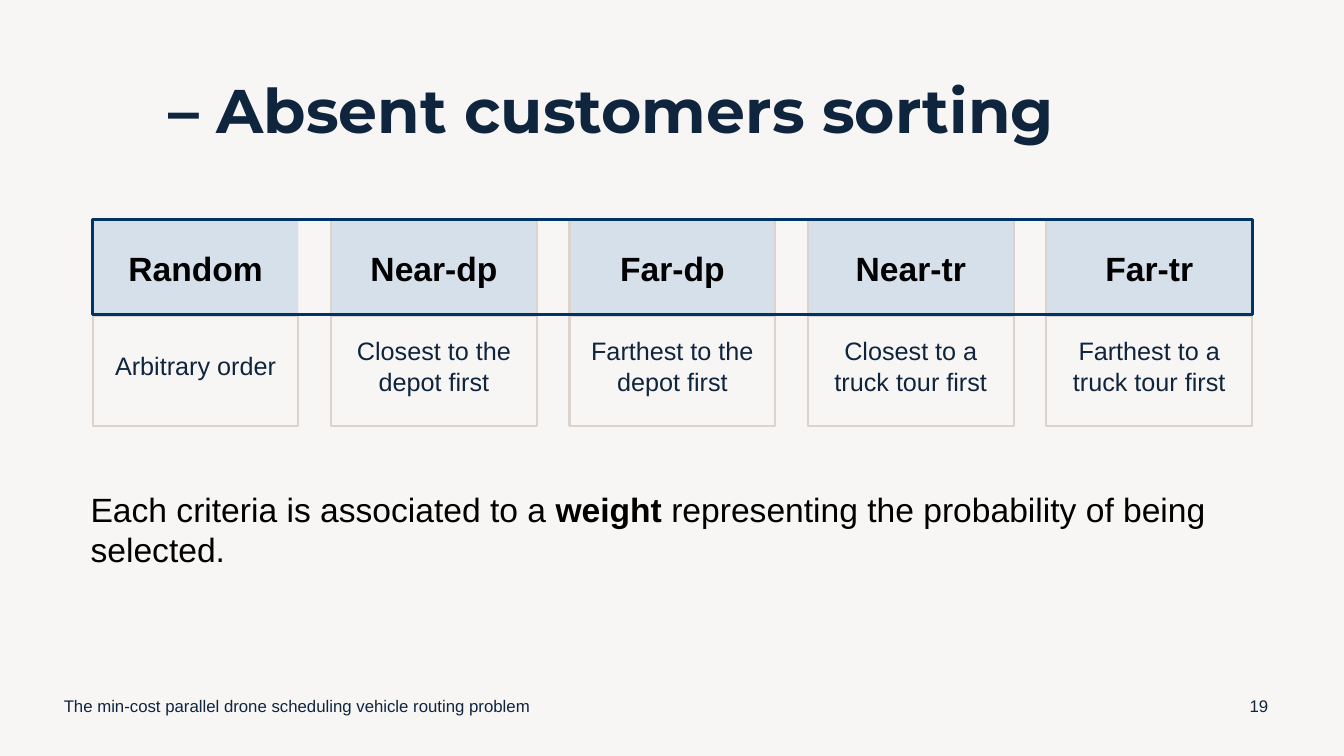
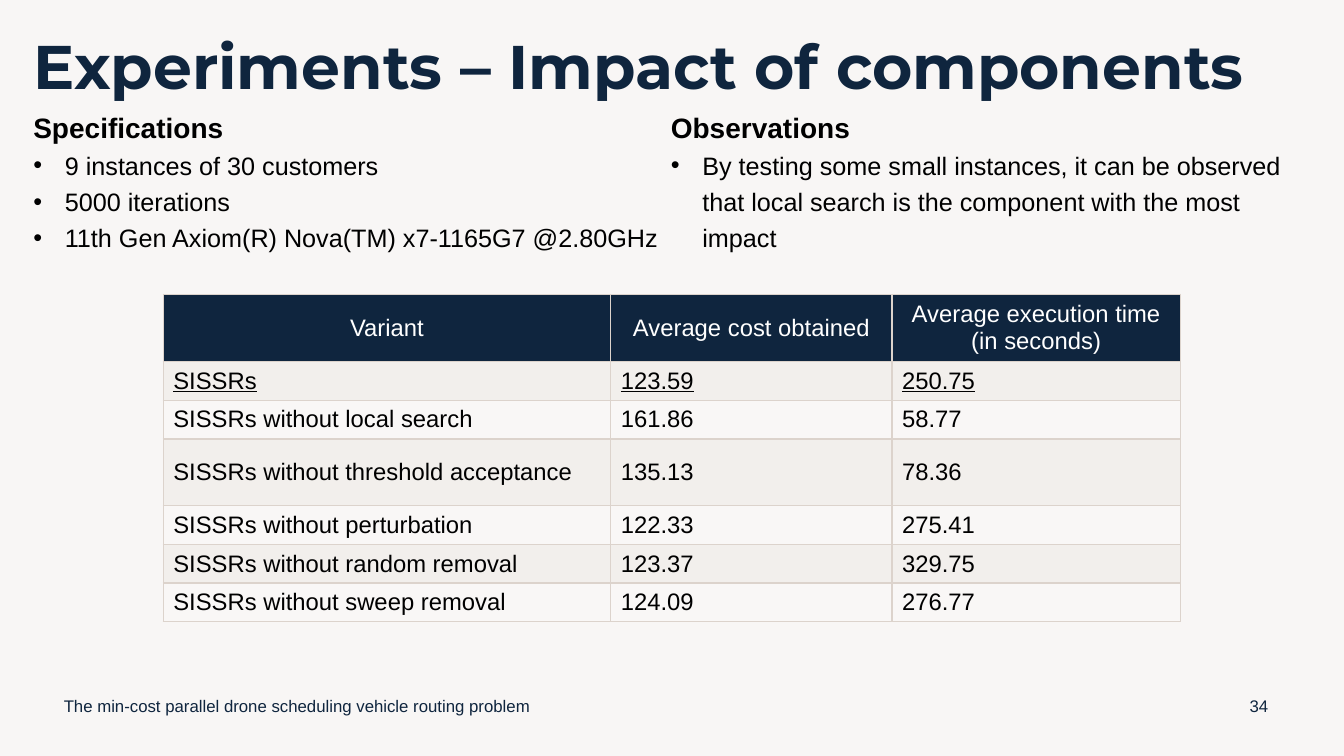
from lxml import etree
from pptx import Presentation
from pptx.dml.color import RGBColor
from pptx.enum.shapes import MSO_SHAPE as Preset
from pptx.enum.text import MSO_ANCHOR as Anchor, PP_ALIGN as Align
from pptx.oxml.ns import qn
from pptx.util import Pt

COLORS = {
    "background": "F8F6F5",
    "navy": "0F253E",
    "black": "000000",
    "white": "FFFFFF",
    "header": "D6E0EB",
    "border": "DCD3CC",
    "frame": "003366",
    "odd_row": "F2EFEC",
    "even_row": "F9F7F6",
}
RGB = {name: RGBColor.from_string(value) for name, value in COLORS.items()}
BODY_FONT = "Arial"
TITLE_FONT = "Montserrat"
FOOTER = "The min-cost parallel drone scheduling vehicle routing problem"


def add_run(paragraph, text, size, color="black", bold=False, font=BODY_FONT):
    run = paragraph.add_run()
    run.text = text
    run.font.size = Pt(size)
    run.font.name = font
    run.font.bold = bold
    run.font.color.rgb = RGB[color]
    return run


def add_text_frame(slide, left, top, width, height, anchor=Anchor.MIDDLE):
    """Add a wrapping text box and return its text frame."""
    box = slide.shapes.add_textbox(Pt(left), Pt(top), Pt(width), Pt(height))
    frame = box.text_frame
    frame.word_wrap = True
    frame.vertical_anchor = anchor
    return frame


presentation = Presentation()
presentation.slide_width = Pt(960)
presentation.slide_height = Pt(540)
background = presentation.slide_master.background.fill
background.solid()
background.fore_color.rgb = RGB["background"]

# Titles, footers and page numbers
slides = []
for title, title_box, page in [
    ("– Absent customers sorting", (113, 28.8, 780, 104.4), "19"),
    ("Experiments – Impact of components", (16.6, 15.1, 927.4, 68.4), "34"),
]:
    slide = presentation.slides.add_slide(presentation.slide_layouts[6])
    slides.append(slide)
    paragraph = add_text_frame(slide, *title_box).paragraphs[0]
    paragraph.line_spacing = 0.9
    add_run(paragraph, title, 44, "navy", True, TITLE_FONT)
    paragraph = add_text_frame(slide, 38.5, 489.6, 360, 28.8).paragraphs[0]
    add_run(paragraph, FOOTER, 12, "navy")
    paragraph = add_text_frame(slide, 881.3, 489.6, 36, 28.8).paragraphs[0]
    paragraph.alignment = Align.CENTER
    add_run(paragraph, page, 12, "navy")
sorting_slide, experiments_slide = slides

# Sorting criteria: a filled header above an outlined description
GRID_LEFT, GRID_TOP = 66.2, 157
CARD_WIDTH, CARD_PITCH = 147, 170.3
HEADER_HEIGHT, CARD_HEIGHT = 68.6, 78.5
criteria = [
    ("Random", "Arbitrary order"),
    ("Near-dp", "Closest to the depot first"),
    ("Far-dp", "Farthest to the depot first"),
    ("Near-tr", "Closest to a truck tour first"),
    ("Far-tr", "Farthest to a truck tour first"),
]
for column, (name, description) in enumerate(criteria):
    left = GRID_LEFT + column * CARD_PITCH
    for text, top, height, size, color, is_header in [
        (name, GRID_TOP, HEADER_HEIGHT, 24, "black", True),
        (description, GRID_TOP + HEADER_HEIGHT, CARD_HEIGHT, 18, "navy", False),
    ]:
        card = sorting_slide.shapes.add_shape(
            Preset.RECTANGLE, Pt(left), Pt(top), Pt(CARD_WIDTH), Pt(height))
        card.shadow.inherit = False
        if is_header:
            card.fill.solid()
            card.fill.fore_color.rgb = RGB["header"]
        else:
            card.fill.background()
            card.text_frame.margin_top = Pt(17.3)
            card.text_frame.margin_bottom = Pt(24.3)
        if is_header and column == 0:
            card.line.fill.background()
        else:
            card.line.color.rgb = RGB["border"]
            card.line.width = Pt(1.5)
        card.text_frame.word_wrap = True
        card.text_frame.vertical_anchor = Anchor.MIDDLE
        paragraph = card.text_frame.paragraphs[0]
        paragraph.alignment = Align.CENTER
        add_run(paragraph, text, size, color, is_header)

header_frame = sorting_slide.shapes.add_shape(
    Preset.RECTANGLE, Pt(GRID_LEFT), Pt(GRID_TOP),
    Pt(4 * CARD_PITCH + CARD_WIDTH), Pt(67.7))
header_frame.shadow.inherit = False
header_frame.fill.background()
header_frame.line.color.rgb = RGB["frame"]
header_frame.line.width = Pt(2.25)

paragraph = add_text_frame(
    sorting_slide, 57.6, 345.6, 827.3, 65.5, Anchor.TOP).paragraphs[0]
add_run(paragraph, "Each criteria is associated to a ", 24)
add_run(paragraph, "weight ", 24, bold=True)
add_run(paragraph, "representing the probability of being selected.", 24)

# Specifications and observations, side by side
COLUMN_WIDTH = 455.4
notes = [
    ("Specifications", [
        "9 instances of 30 customers",
        "5000 iterations",
        "11th Gen Axiom(R) Nova(TM) x7-1165G7 @2.80GHz",
    ]),
    ("Observations", [
        "By testing some small instances, it can be observed that local search "
        "is the component with the most impact",
    ]),
]
for column, (heading, items) in enumerate(notes):
    frame = add_text_frame(experiments_slide, 23.8 + column * COLUMN_WIDTH, 70.6,
                           COLUMN_WIDTH, 115.2, Anchor.TOP)
    frame.margin_left = frame.margin_right = 0
    paragraph = frame.paragraphs[0]
    paragraph.line_spacing = 1.2
    add_run(paragraph, heading, 20, bold=True)
    for item in items:
        paragraph = frame.add_paragraph()
        properties = paragraph._p.get_or_add_pPr()
        properties.set("marL", str(Pt(22.5)))
        properties.set("indent", str(Pt(-22.5)))
        etree.SubElement(properties, qn("a:buFont"), typeface=BODY_FONT)
        etree.SubElement(properties, qn("a:buChar"), char="•")
        paragraph.line_spacing = 1.2
        add_run(paragraph, item, 18)

# Results by variant
results = [
    ("Variant", "Average cost obtained", "Average execution time\n(in seconds)"),
    ("SISSRs", "123.59", "250.75"),
    ("SISSRs without local search", "161.86", "58.77"),
    ("SISSRs without threshold acceptance", "135.13", "78.36"),
    ("SISSRs without perturbation", "122.33", "275.41"),
    ("SISSRs without random removal", "123.37", "329.75"),
    ("SISSRs without sweep removal", "124.09", "276.77"),
]
column_widths = [319.7, 200.9, 205.9]
row_heights = [45.2, 27.3, 27.3, 47.7, 27.3, 27.3, 27.3]
table = experiments_slide.shapes.add_table(
    len(results), len(column_widths), Pt(116.6), Pt(210.2),
    Pt(sum(column_widths)), Pt(sum(row_heights))).table
table.horz_banding = False
for column, width in zip(table.columns, column_widths):
    column.width = Pt(width)
for row_index, (values, height) in enumerate(zip(results, row_heights)):
    table.rows[row_index].height = Pt(height)
    is_header = row_index == 0
    row_fill = "navy" if is_header else "odd_row" if row_index % 2 else "even_row"
    for column_index, value in enumerate(values):
        cell = table.cell(row_index, column_index)
        cell.vertical_anchor = Anchor.MIDDLE
        cell_properties = cell._tc.get_or_add_tcPr()
        for side in ("a:lnL", "a:lnR", "a:lnT", "a:lnB"):
            border = etree.SubElement(cell_properties, qn(side), w=str(Pt(1)))
            border_fill = etree.SubElement(border, qn("a:solidFill"))
            etree.SubElement(border_fill, qn("a:srgbClr"), val=COLORS["border"])
        cell.fill.solid()
        cell.fill.fore_color.rgb = RGB[row_fill]
        for line_index, line in enumerate(value.split("\n")):
            frame = cell.text_frame
            paragraph = frame.add_paragraph() if line_index else frame.paragraphs[0]
            paragraph.alignment = Align.CENTER if is_header else Align.LEFT
            run = add_run(paragraph, line, 17, "white" if is_header else "black")
            if row_index == 1:
                run.font.underline = True

presentation.save("out.pptx")
